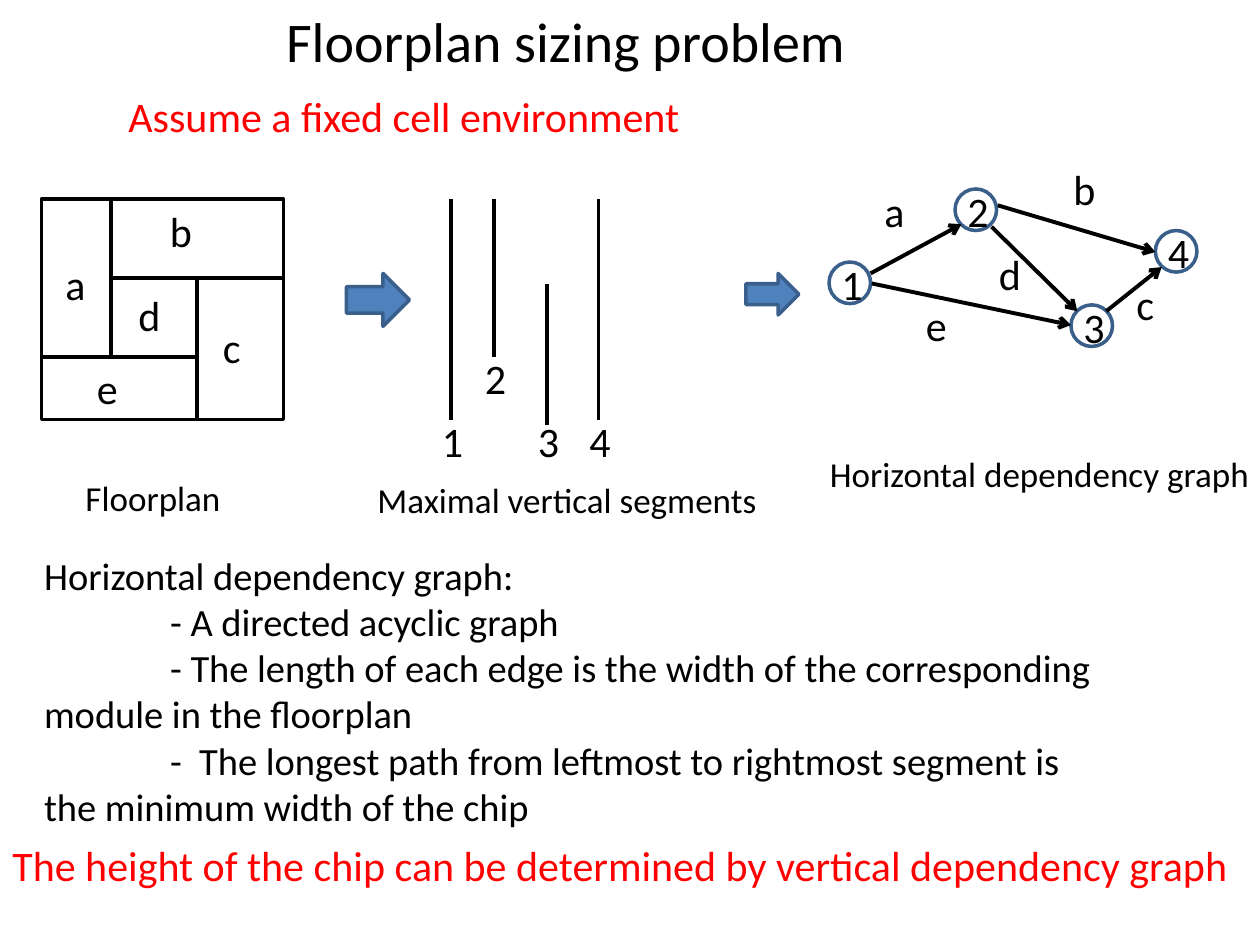
from lxml.etree import SubElement
from pptx import Presentation
from pptx.dml.color import RGBColor
from pptx.enum.shapes import MSO_CONNECTOR, MSO_SHAPE as SHAPE
from pptx.enum.text import MSO_ANCHOR, MSO_AUTO_SIZE, PP_ALIGN
from pptx.oxml.ns import qn
from pptx.util import Inches, Pt

COLORS = {"text": "000000", "accent": "FF0000", "fill": "4F81BD", "outline": "3A5F8B"}
FONT = "Calibri"


def rgb(name):
    return RGBColor.from_string(COLORS[name])


def place(sp, x, y, w, h):
    sp.left, sp.top, sp.width, sp.height = (Inches(v) for v in (x, y, w, h))


def format_text(tf, size, color="text", align=PP_ALIGN.LEFT):
    tf.word_wrap = True
    tf.auto_size = MSO_AUTO_SIZE.NONE
    tf.vertical_anchor = MSO_ANCHOR.TOP
    for p in tf.paragraphs:
        p.alignment = align
        p.space_before = Pt(0)
        for r in p.runs:
            r.font.name = FONT
            r.font.size = Pt(size)
            r.font.color.rgb = rgb(color)


def add_text(s, text, x, y, w, h=0.5, size=24, color="text", align=PP_ALIGN.LEFT):
    sp = s.shapes.add_textbox(Inches(x), Inches(y), Inches(w), Inches(h))
    sp.text_frame.text = text
    format_text(sp.text_frame, size, color, align)


def add_labels(s, x, y, labels, w=0.42):
    for text, dx, dy in labels:
        add_text(s, text, x + dx, y + dy, w)


def add_line(s, x1, y1, x2, y2, arrow=False):
    line = s.shapes.add_connector(
        MSO_CONNECTOR.STRAIGHT, Inches(x1), Inches(y1), Inches(x2), Inches(y2))
    line.line.color.rgb = rgb("text")
    line.line.width = Pt(2.25)
    if arrow:
        SubElement(line.line._get_or_add_ln(), qn("a:tailEnd"), type="arrow")
    SubElement(line._element.spPr, qn("a:effectLst"))


def add_shape(s, kind, x, y, w, h, fill=None, outline="outline"):
    sp = s.shapes.add_shape(kind, Inches(x), Inches(y), Inches(w), Inches(h))
    sp.shadow.inherit = False
    if fill:
        sp.fill.solid()
        sp.fill.fore_color.rgb = rgb(fill)
    else:
        sp.fill.background()
    sp.line.color.rgb = rgb(outline)
    sp.line.width = Pt(2)


def add_title(s, x, y, w, h):
    sp = s.shapes.title
    place(sp, x, y, w, h)
    sp.text_frame.text = "Floorplan sizing problem"
    format_text(sp.text_frame, 32)


def add_floorplan(s, x, y, w, h):
    add_shape(s, SHAPE.RECTANGLE, x, y, w, h, outline="text")
    col1, col2, row1, row2 = x + 0.55, x + 1.23, y + 0.63, y + 1.25
    add_line(s, x, row2, col2, row2)
    add_line(s, col1, y, col1, row2)
    add_line(s, col2, row1, col2, y + h)
    add_line(s, col1, row1, x + w, row1)
    add_labels(s, x, y, [("a", 0.09, 0.42), ("b", 0.92, 0), ("c", 1.34, 0.92),
                         ("d", 0.67, 0.67), ("e", 0.34, 1.25)])
    add_text(s, "Floorplan", x + 0.25, y + 2.15, 1.58, 0.43, size=20)


def add_segments(s, x, y, w):
    """Draw the numbered vertical segments above their caption."""
    segments = [("1", 0.83, 0, 1.75, 1.67), ("2", 1.17, 0, 1.25, 1.17),
                ("3", 1.59, 0.67, 1.79, 1.67), ("4", 2, 0, 1.75, 1.67)]
    for number, dx, top, bottom, label in segments:
        add_line(s, x + dx, y + top, x + dx, y + bottom)
        add_text(s, number, x + dx - 0.17, y + label, 0.5)
    add_text(s, "Maximal vertical segments", x, y + 2.17, w, 0.43,
             size=20, align=PP_ALIGN.CENTER)


def add_graph(s, x, y, w):
    d = 0.33
    nodes = [("1", 0.12, 0.83), ("2", 1.12, 0.25), ("3", 2.04, 1.17), ("4", 2.71, 0.58)]
    edges = [(0.45, 0.92, 1.17, 0.53), (0.46, 1, 2.04, 1.33), (1.41, 0.55, 2.09, 1.22),
             (2.32, 1.22, 2.76, 0.87), (1.46, 0.38, 2.71, 0.75)]
    for _, dx, dy in nodes:
        add_shape(s, SHAPE.OVAL, x + dx, y + dy, d, d)
    for x1, y1, x2, y2 in edges:
        add_line(s, x + x1, y + y1, x + x2, y + y2, arrow=True)
    add_labels(s, x, y - 0.08, nodes, w=0.5)
    add_labels(s, x, y, [("a", 0.46, 0.17), ("b", 1.96, 0), ("c", 2.46, 0.91),
                         ("d", 1.37, 0.67), ("e", 0.79, 1.08)])
    add_text(s, "Horizontal dependency graph", x, y + 2.29, w, 0.43,
             size=20, align=PP_ALIGN.CENTER)


def add_explanation(s, x, y, w, h):
    sp = s.placeholders[1]
    place(sp, x, y, w, h)
    tf = sp.text_frame
    tf.text = "\n".join([
        "Horizontal dependency graph:",
        "- A directed acyclic graph",
        "- The length of each edge is the width of the corresponding\vmodule in the floorplan",
        "- \u00a0The longest path from leftmost to rightmost segment is\vthe minimum width of the chip",
    ]).replace("\u00a0", " ")
    for i, p in enumerate(tf.paragraphs):
        pPr = p._p.get_or_add_pPr()
        pPr.set("marL", "0")
        pPr.set("indent", str(Inches(1) if i else 0))
        SubElement(pPr, qn("a:buNone"))
    format_text(tf, 22)


def main():
    prs = Presentation()
    prs.slide_width, prs.slide_height = Inches(10), Inches(7.5)
    s = prs.slides.add_slide(prs.slide_layouts[1])
    add_title(s, 2.17, 0, 6.73, 0.63)
    add_text(s, "Assume a fixed cell environment", 0.92, 0.67, 7.75, color="accent")
    add_floorplan(s, 0.33, 1.58, 1.92, 1.75)
    add_shape(s, SHAPE.RIGHT_ARROW, 2.75, 2.17, 0.5, 0.42, fill="fill")
    add_segments(s, 2.75, 1.58, 3.5)
    add_shape(s, SHAPE.RIGHT_ARROW, 5.92, 2.17, 0.42, 0.33, fill="fill")
    add_graph(s, 6.46, 1.25, 3.58)
    add_explanation(s, 0.25, 4.33, 9.42, 2.3)
    add_text(s, "The height of the chip can be determined by vertical dependency graph",
             0, 6.61, 10, color="accent")
    prs.save("out.pptx")


if __name__ == "__main__":
    main()
